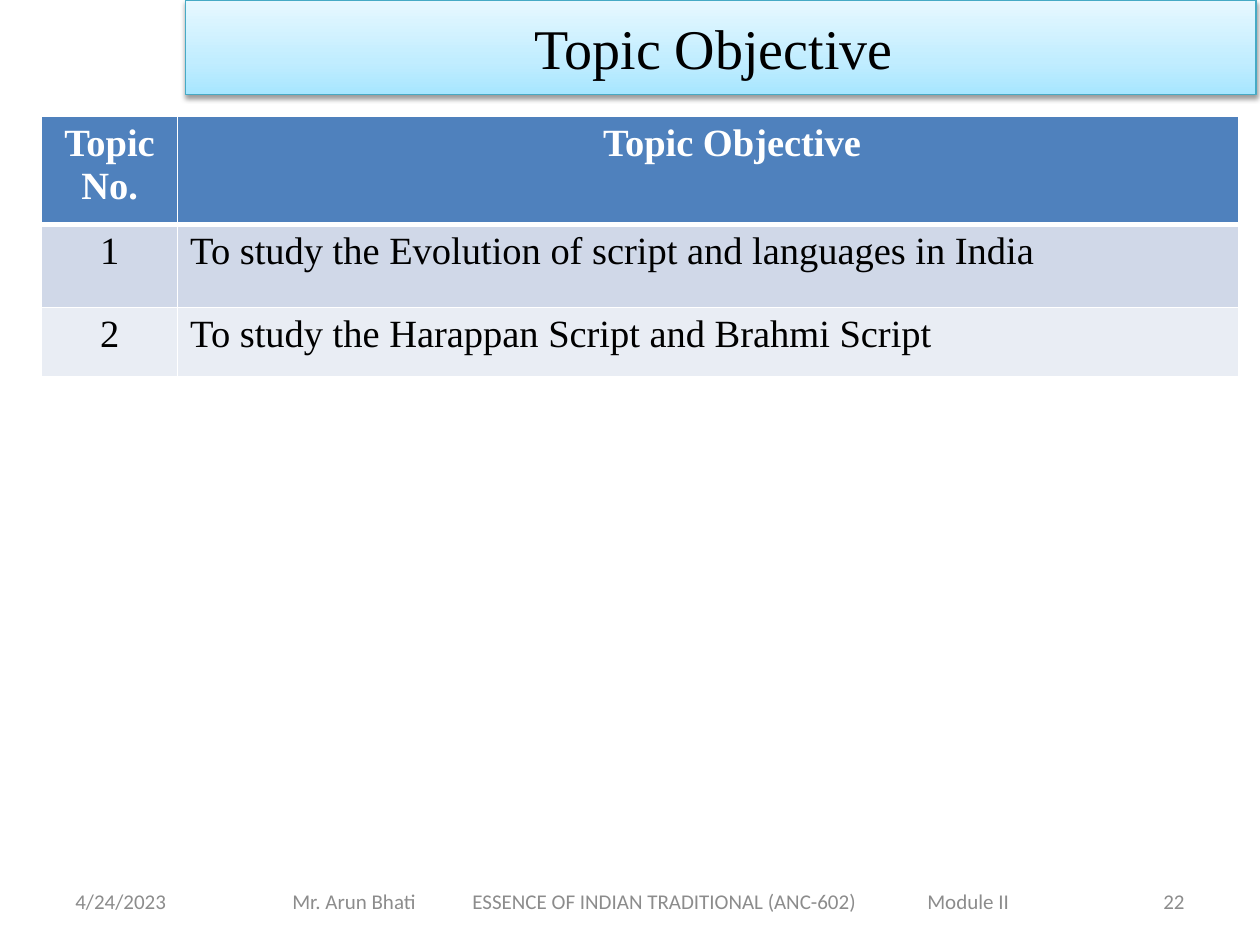
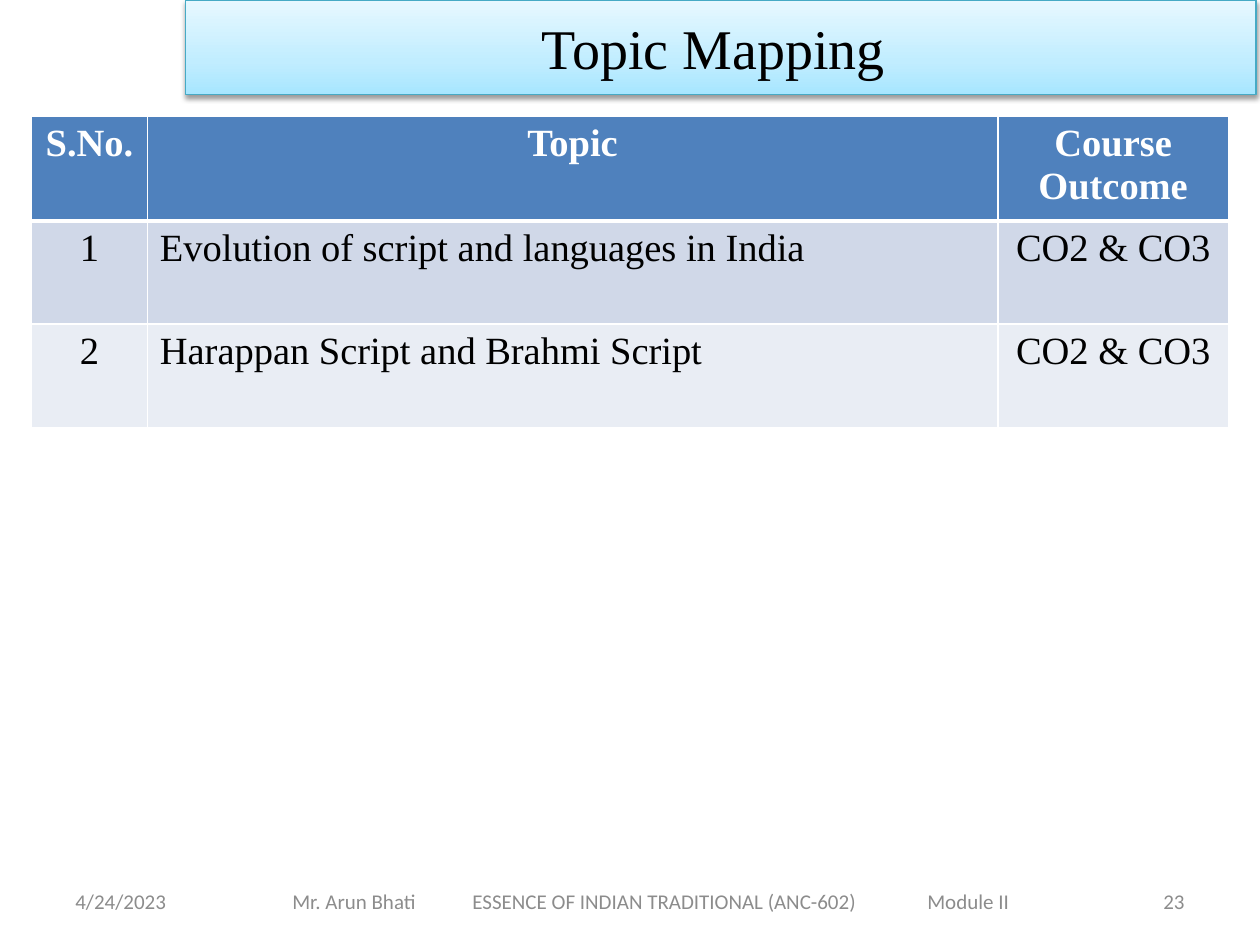
from dataclasses import dataclass
from lxml import etree
from pptx import Presentation, util as u
from pptx.dml.color import RGBColor
from pptx.enum import shapes, text
from pptx.oxml import ns


@dataclass(frozen=True)
class Theme:
    head_font: str = "Times New Roman"
    foot_font: str = "Calibri"
    title_size: int = 32
    table_size: int = 22
    foot_size: int = 12
    black: str = "000000"
    white: str = "FFFFFF"
    grey: str = "8C8C8C"
    band_line: str = "46AAC5"
    header_fill: str = "4F81BD"
    row_fills: tuple = ("D0D8E8", "E9EDF4")
    band_stops: tuple = ((0, "A7E6FF"), (35, "C1EDFF"), (100, "E7F8FF"))


T = Theme()
A = ns.nsdecls("a")
L, C, R, J = (text.PP_ALIGN.LEFT, text.PP_ALIGN.CENTER,
              text.PP_ALIGN.RIGHT, text.PP_ALIGN.JUSTIFY)

TITLE = {"name": T.head_font, "size": u.Pt(T.title_size), "bold": False}
CELL = {"name": T.head_font, "size": u.Pt(T.table_size), "bold": False}
HEADER = {**CELL, "bold": True}
FOOT = {"name": T.foot_font, "size": u.Pt(T.foot_size), "bold": False}


def write(tf, words, align, fmt, color):
    """Fill the first paragraph of a text frame and format it."""
    tf.word_wrap = True
    p = tf.paragraphs[0]
    p.alignment = align
    r = p.add_run()
    r.text = words
    for key, value in fmt.items():
        setattr(r.font, key, value)
    r.font.color.rgb = RGBColor.from_string(color)
    return p


def border(cell, side, points):
    """Draw one white edge; call before the cell is filled."""
    cell._tc.get_or_add_tcPr().append(etree.fromstring(
        f'<a:ln{side} {A} w="{u.Pt(points)}"><a:solidFill>'
        f'<a:srgbClr val="{T.white}"/></a:solidFill></a:ln{side}>'))


# Content: "shift" is the extra left inset of a header cell
pages = [
    {"title": "Topic Objective ", "number": "22", "left": 0.33,
     "cols": (1.08, 8.42), "rows": (0.86, 0.66, 0.55),
     "aligns": (C, L), "shift": (0, 0.38),
     "cells": [("Topic No.", "Topic Objective"),
               ("1", "To study the Evolution of script and languages in India"),
               ("2", "To study the Harappan Script and Brahmi Script")]},
    {"title": "Topic Mapping ", "number": "23", "left": 0.25,
     "cols": (0.92, 6.75, 1.83), "rows": (0.82, 0.82, 0.82),
     "aligns": (C, J, C), "shift": (0, 0, 0),
     "cells": [("S.No.", "Topic", "Course Outcome"),
               ("1", "Evolution of script and languages in India", "CO2 & CO3"),
               ("2", "Harappan Script and Brahmi Script", "CO2 & CO3")]},
]
course_line = "Mr. Arun Bhati\tESSENCE OF INDIAN TRADITIONAL (ANC-602)\tModule II"

prs = Presentation()
prs.slide_width, prs.slide_height = u.Inches(10), u.Inches(7.5)

for page in pages:
    s = prs.slides.add_slide(prs.slide_layouts[6])

    # Footer: date, course line, slide number
    for left, width, words, align in ((0.5, 2.33, "4/24/2023", L),
                                      (1.75, 6.83, course_line, L),
                                      (7.17, 2.33, page["number"], R)):
        tf = s.shapes.add_textbox(u.Inches(left), u.Inches(6.95),
                                  u.Inches(width), u.Inches(0.4)).text_frame
        tf.vertical_anchor = text.MSO_ANCHOR.MIDDLE
        p = write(tf, words, align, FOOT, T.grey)
        if words == course_line:
            tf.margin_left = u.Inches(0.57)
            stops = "".join(f'<a:tab pos="{u.Inches(x)}" algn="l"/>'
                            for x in (1.43, 5.04))
            p._p.get_or_add_pPr().append(
                etree.fromstring(f"<a:tabLst {A}>{stops}</a:tabLst>"))

    # Title band with gradient and soft shadow
    sp = s.shapes.add_shape(shapes.MSO_SHAPE.RECTANGLE, u.Inches(1.47), 0,
                            u.Inches(8.5), u.Inches(0.75))
    sp.line.color.rgb = RGBColor.from_string(T.band_line)
    sp.line.width = u.Pt(0.75)
    sp.shadow.inherit = False
    stops = "".join(f'<a:gs pos="{pos * 1000}"><a:srgbClr val="{color}"/></a:gs>'
                    for pos, color in T.band_stops)
    props = sp._element.spPr
    props.find(ns.qn("a:prstGeom")).addnext(etree.fromstring(
        f'<a:gradFill {A} rotWithShape="1"><a:gsLst>{stops}</a:gsLst>'
        f'<a:lin ang="{270 * 60000}" scaled="0"/></a:gradFill>'))
    props.find(ns.qn("a:effectLst")).append(etree.fromstring(
        f'<a:outerShdw {A} blurRad="{u.Pt(3.1)}" dist="{u.Pt(1.6)}" '
        f'dir="{90 * 60000}" rotWithShape="0"><a:srgbClr val="{T.black}">'
        f'<a:alpha val="38000"/></a:srgbClr></a:outerShdw>'))
    sp.text_frame.vertical_anchor = text.MSO_ANCHOR.MIDDLE
    write(sp.text_frame, page["title"], C, TITLE, T.black)

    # Table
    rows, cols = page["rows"], page["cols"]
    table = s.shapes.add_table(len(rows), len(cols), u.Inches(page["left"]),
                               u.Inches(0.92), u.Inches(sum(cols)),
                               u.Inches(sum(rows))).table
    for column, width in zip(table.columns, cols):
        column.width = u.Inches(width)
    for i, height in enumerate(rows):
        table.rows[i].height = u.Inches(height)
        head = i == 0
        fill = T.header_fill if head else T.row_fills[(i - 1) % 2]
        for j, words in enumerate(page["cells"][i]):
            cell = table.cell(i, j)
            for side in "LRTB":
                thick = (head and side == "B") or (i == 1 and side == "T")
                border(cell, side, 3 if thick else 1)
            cell.fill.solid()
            cell.fill.fore_color.rgb = RGBColor.from_string(fill)
            if head:
                cell.margin_left = u.Inches(0.1 + page["shift"][j])
            write(cell.text_frame, words, C if head else page["aligns"][j],
                  HEADER if head else CELL, T.white if head else T.black)

prs.save("out.pptx")
